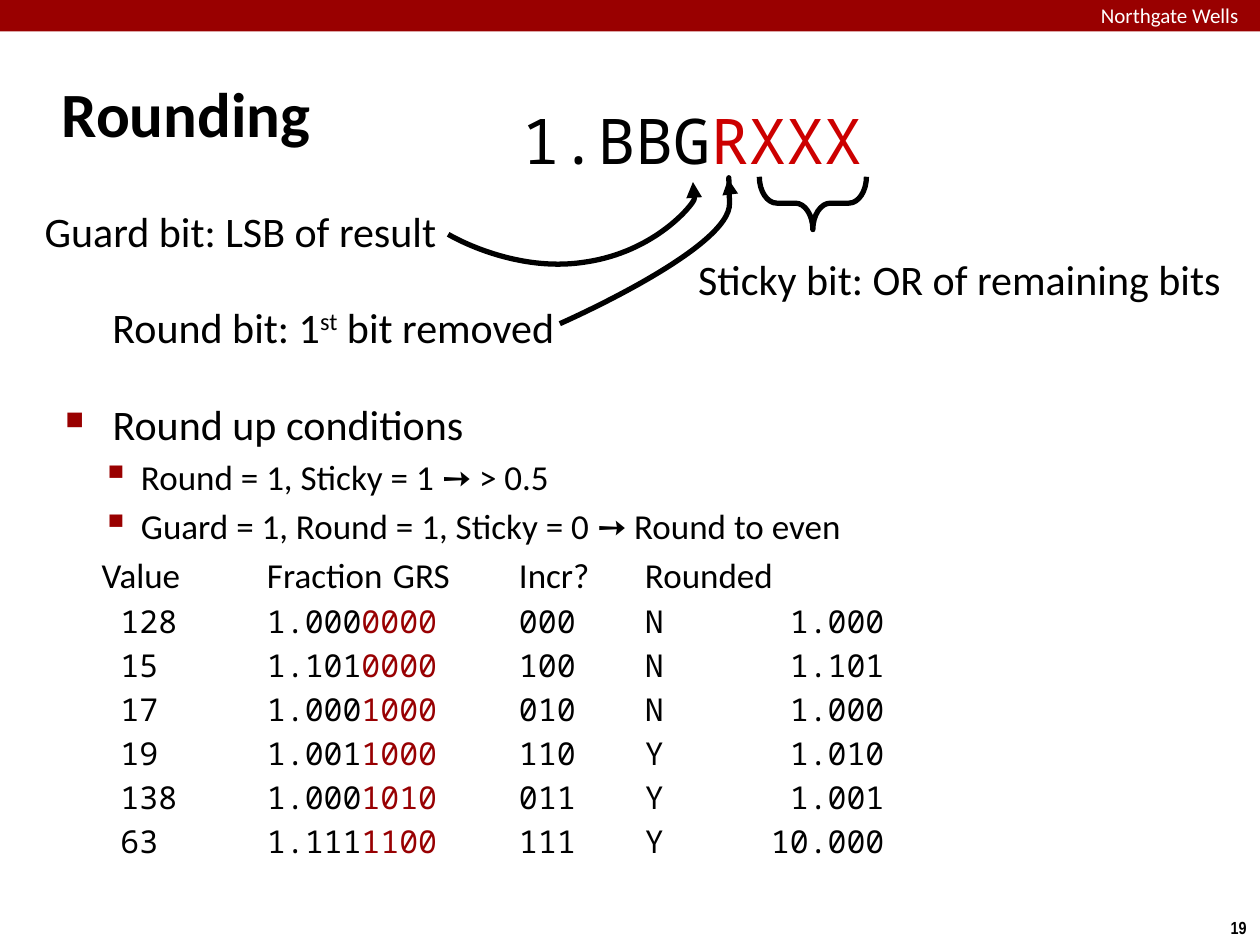
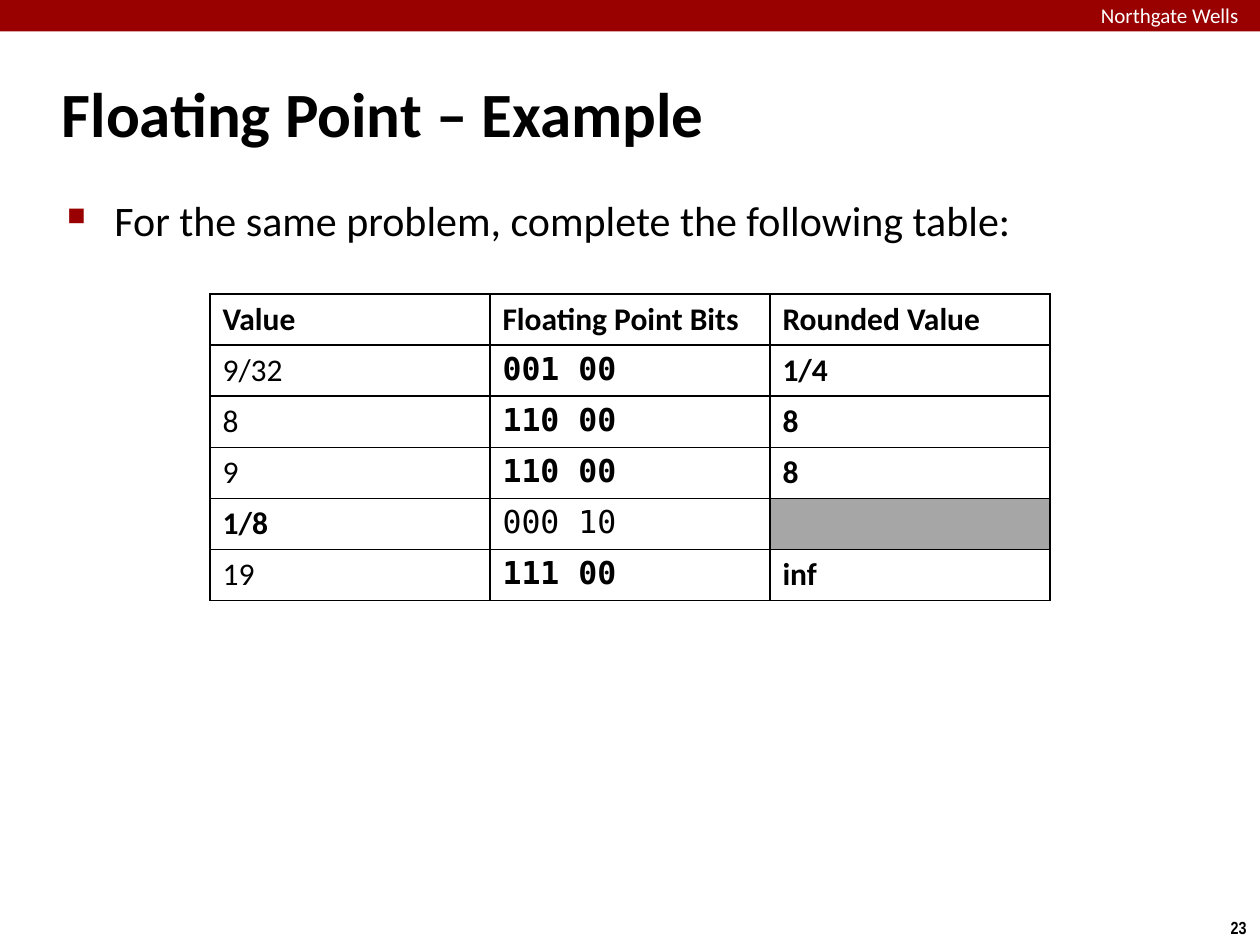
"""Two lecture slides on rounding of floating point numbers."""
from lxml import etree
from pptx import Presentation
from pptx.dml.color import RGBColor
from pptx.enum.shapes import MSO_SHAPE
from pptx.enum.text import MSO_ANCHOR, MSO_AUTO_SIZE, PP_ALIGN
from pptx.oxml.ns import qn
from pptx.util import Pt

LEFT, RIGHT = PP_ALIGN.LEFT, PP_ALIGN.RIGHT
TOP, MIDDLE = MSO_ANCHOR.TOP, MSO_ANCHOR.MIDDLE
FIT, FIXED = MSO_AUTO_SIZE.SHAPE_TO_FIT_TEXT, MSO_AUTO_SIZE.NONE
RECT = MSO_SHAPE.RECTANGLE

INK, WHITE, GRAY = "000000", "FFFFFF", "A6A6A6"
BAND, DROP, BITS = "990000", "980002", "CC0000"
SANS, SMALL = "Calibri", "Arial Narrow"
MONO, CODE = "Noto Sans Mono", "DejaVu Sans Mono"
WIDE, HIGH = 720, 540


def rgb(tint):
    """Turn a hex string into a colour."""
    return RGBColor.from_string(tint)


def sub(node, tag, **attrs):
    """Append a drawing element to a node."""
    return etree.SubElement(node, qn("a:" + tag), attrs)


def add(par, text, size, tint=INK, bold=False, font=SANS):
    """Add one formatted run to a paragraph."""
    run = par.add_run()
    run.text = text
    run.font.size = Pt(size)
    run.font.name = font
    run.font.bold = bold
    run.font.color.rgb = rgb(tint)
    return run


def indent(par, left, first):
    """Set the left margin and first-line indent."""
    props = par._p.get_or_add_pPr()
    props.set("marL", str(Pt(left)))
    props.set("indent", str(Pt(first)))
    return props


def label(slide, box, fit=False, pad=None, align=LEFT):
    """Add a text box and return its first paragraph."""
    frame = slide.shapes.add_textbox(*map(Pt, box)).text_frame
    frame.word_wrap = not fit
    frame.auto_size = FIT if fit else FIXED
    if pad is not None:
        frame.margin_left = frame.margin_right = Pt(pad)
        frame.margin_top = frame.margin_bottom = Pt(pad)
    par = frame.paragraphs[0]
    par.alignment = align
    return par


def item(frame, level=0, mark=None):
    """Add a list paragraph, with a bullet if a mark is given."""
    par = frame.paragraphs[0]
    if par.runs:
        par = frame.add_paragraph()
    par.level = level
    props = indent(par, *((27, -27), (43.2, -22.5))[level])
    props.set("defTabSz", str(Pt(72)))
    sub(sub(props, "spcBef"), "spcPct", val="20000")
    if mark:
        sub(sub(props, "buClr"), "srgbClr", val=BAND)
        sub(props, "buSzPct", val=("60000", "110000")[level])
        sub(props, "buChar", char=mark)
    return par


def frame(deck, title, number):
    """Add a slide with the red band, title and page number."""
    slide = deck.slides.add_slide(deck.slide_layouts[5])
    band = slide.shapes.add_shape(RECT, 0, 0, Pt(WIDE), Pt(18))
    band.shadow.inherit = False
    band.fill.solid()
    band.fill.fore_color.rgb = rgb(BAND)
    band.line.fill.background()
    add(label(slide, (622, -2.2, 103, 21.6)), "Northgate Wells", 12, WHITE)
    page = label(slide, (696.2, 520.6, 24.5, 19.4), fit=True)
    add(page, number, 10, bold=True, font=SMALL)

    head = slide.shapes.title
    head.left, head.top, head.width, head.height = map(
        Pt, (28.1, 34.2, 597.6, 59.8))
    text = head.text_frame
    text.vertical_anchor = MIDDLE
    text.auto_size = FIXED
    par = text.paragraphs[0]
    par.alignment = LEFT
    indent(par, 9.4, -9.4)
    add(par, title, 36, bold=True)
    return slide


def curve(slide, x, y, points, arrow=False):
    """Draw joined Bezier curves: a start, then three points for each."""
    spots = [(Pt(x + a), Pt(y + b)) for a, b in points]
    pen = slide.shapes.build_freeform(*spots[0], scale=1.0)
    pen.add_line_segments(spots[1:], close=False)
    shape = pen.convert_to_shape()
    shape.shadow.inherit = False
    shape.fill.background()
    shape.line.color.rgb = rgb(INK)
    shape.line.width = Pt(3)
    if arrow:
        sub(shape.line._get_or_add_ln(), "tailEnd", type="triangle")
    route = next(shape._element.iter(qn("a:path")))
    steps = route.findall(qn("a:lnTo"))
    for i in range(0, len(steps), 3):
        bend = sub(route, "cubicBezTo")
        for step in steps[i:i + 3]:
            bend.append(step[0])
            route.remove(step)


def brace(slide, x, y, width, height):
    """Draw a brace that points down, as two mirrored halves."""
    mid, waist = width / 2, height / 2
    half = [(0, 0), (0, waist * 0.55), (4.5, waist), (10, waist),
            (10, waist), (mid - 10, waist), (mid - 10, waist),
            (mid - 4.5, waist), (mid, waist * 1.45), (mid, height)]
    other = [(width - a, b) for a, b in reversed(half[:-1])]
    curve(slide, x, y, half + other)


def diagram(slide, x, y):
    """Name the guard, round and sticky bits of a binary number."""
    def note(left, top, width, height=35.3, fit=True, align=LEFT):
        return label(slide, (x + left, y + top, width, height), fit, 3, align)

    bits = note(295.2, 0.9, 201.6, 51.1)
    add(bits, "1.BBG", 36, font=MONO)
    add(bits, "RXXX", 36, BITS, font=MONO)
    guard = note(11.2, 60.5, 241.2, fit=False, align=RIGHT)
    add(guard, "Guard bit: LSB of result", 24)
    first = note(52.6, 115.2, 267.1, align=RIGHT)
    add(first, "Round bit: 1", 24)
    add(first, "st", 24)._r.get_or_add_rPr().set("baseline", "30000")
    add(first, " bit removed", 24)
    brace(slide, x + 433.9, y + 47, 61.2, 30.2)
    add(note(396, 87.8, 313.9), "Sticky bit: OR of remaining bits", 24)
    curve(slide, x, y, [
        (319.9, 131), (319.9, 131), (418.3, 87.8), (416.9, 61.9),
        (416.2, 36), (416.2, 48.2), (416.2, 48.2)], arrow=True)
    curve(slide, x, y, [
        (256.1, 79.9), (256.1, 79.9), (293, 102.2), (334.1, 95.8),
        (375.1, 90), (396.7, 61.9), (396.7, 59.8),
        (396.7, 58.3), (396, 50), (396, 50)], arrow=True)


def rules(slide, box, rows):
    """List the round up conditions and tabbed examples."""
    text = label(slide, box)._parent
    add(item(text, mark="■"), "Round up conditions", 24)
    for line in ("Round = 1, Sticky = 1 ➙ > 0.5",
                 "Guard = 1, Round = 1, Sticky = 0 ➙ Round to even"):
        add(item(text, 1, "▪"), line, 20)
    add(item(text, 1), "Value\tFraction\tGRS\tIncr?\tRounded", 20)
    for value, kept, lost, grs, up, result in rows:
        par = item(text, 1)
        add(par, f" {value}\t{kept}", 18, font=MONO)
        add(par, f"{lost}\t", 18, DROP, font=MONO)
        add(par, f"{grs}\t{up}\t{result:>6}", 18, font=MONO)


def grid(slide, box, heads, rows):
    """Add a ruled table; each row names the column that was given."""
    lines = [(heads, None)] + rows
    shape = slide.shapes.add_table(len(lines), len(heads), *map(Pt, box))
    table = shape.table
    table.first_row = table.horz_banding = False
    for r, (texts, given) in enumerate(lines):
        for c, text in enumerate(texts):
            cell = table.cell(r, c)
            cell.vertical_anchor = TOP
            props = cell._tc.get_or_add_tcPr()
            for side in ("lnL", "lnR", "lnT", "lnB"):
                edge = sub(props, side, w=str(Pt(1)))
                sub(sub(edge, "solidFill"), "srgbClr", val=INK)
            if text:
                cell.fill.background()
                font = CODE if r and c == 1 else SANS
                add(cell.text_frame.paragraphs[0], text, 18,
                    bold=c != given, font=font)
            else:
                cell.fill.solid()
                cell.fill.fore_color.rgb = rgb(GRAY)


def main():
    """Build both slides and save the deck."""
    deck = Presentation()
    deck.slide_width, deck.slide_height = Pt(WIDE), Pt(HIGH)

    slide = frame(deck, "Rounding", "19")
    rules(slide, (30.3, 224, 660.2, 313.9), [
        ("128", "1.000", "0000", "000", "N", "1.000"),
        ("15", "1.101", "0000", "100", "N", "1.101"),
        ("17", "1.000", "1000", "010", "N", "1.000"),
        ("19", "1.001", "1000", "110", "Y", "1.010"),
        ("138", "1.000", "1010", "011", "Y", "1.001"),
        ("63", "1.111", "1100", "111", "Y", "10.000")])
    diagram(slide, 0, 54)

    slide = frame(deck, "Floating Point – Example", "23")
    text = label(slide, (31.3, 107.5, 622, 391.7))._parent
    add(item(text, mark="■"),
        "For the same problem, complete the following table:", 24)
    grid(slide, (120, 168, 480, 175.2),
         ("Value", "Floating Point Bits", "Rounded Value"), [
             (("9/32", "001 00", "1/4"), 0),
             (("8", "110 00", "8"), 0),
             (("9", "110 00", "8"), 0),
             (("1/8", "000 10", ""), 1),
             (("19", "111 00", "inf"), 0)])
    deck.save("out.pptx")


main()
